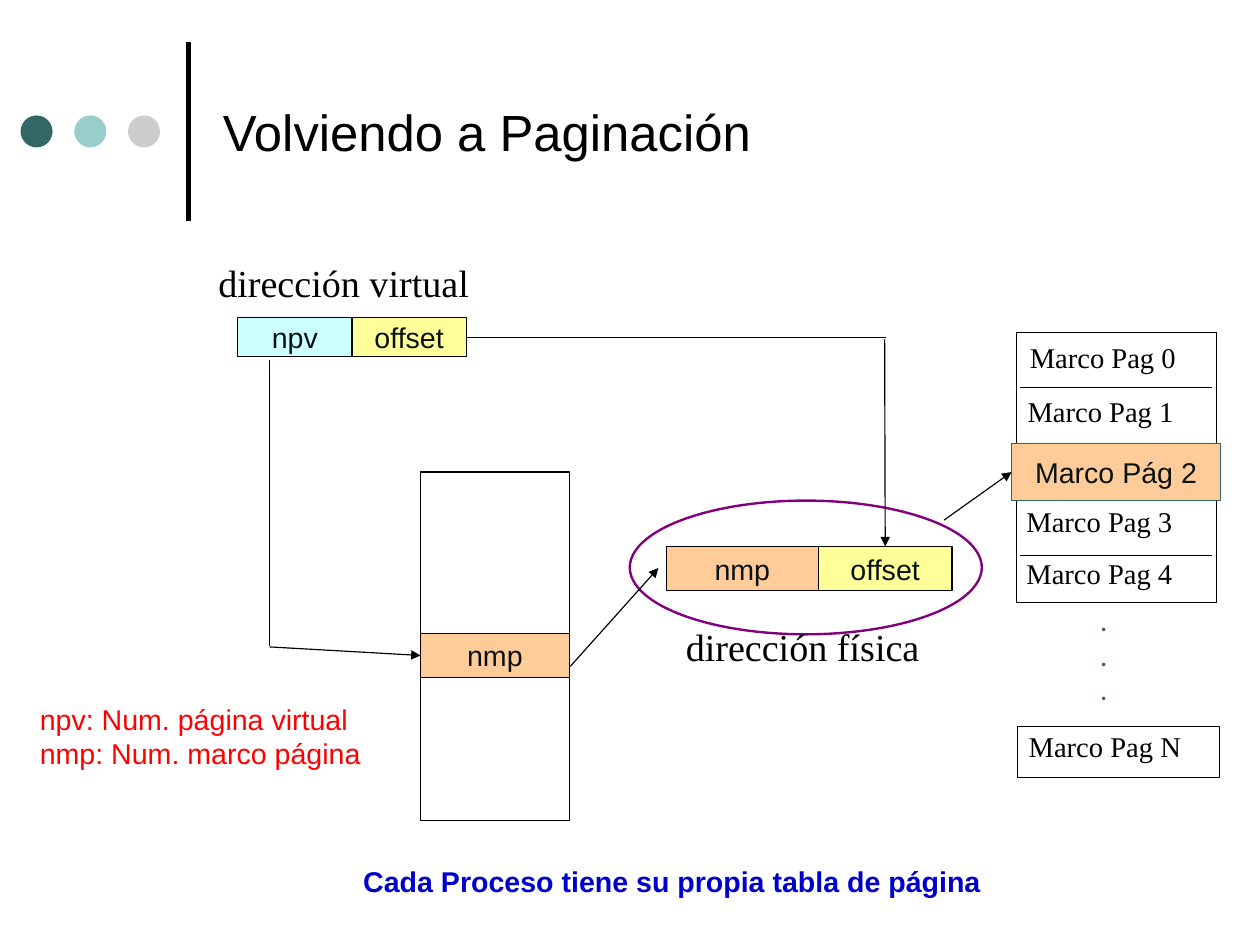
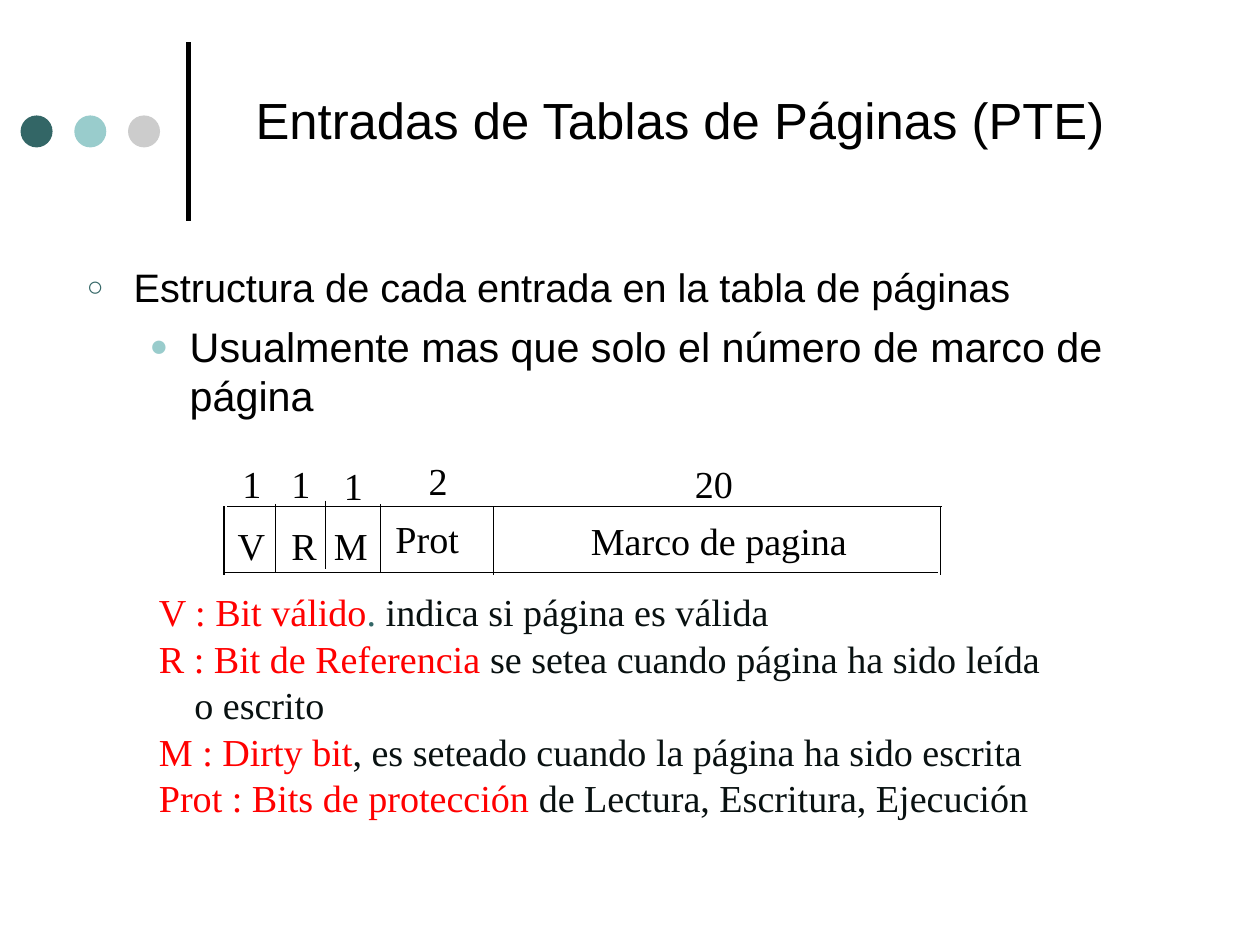
from dataclasses import dataclass
from typing import Optional

from lxml import etree
from pptx import Presentation
from pptx.dml import color as dml
from pptx.enum import shapes, text
from pptx.oxml import ns
from pptx.util import Inches, Pt


@dataclass(frozen=True)
class Theme:
    black: str = "000000"
    ink: str = "091111"
    teal: str = "336666"
    aqua: str = "99CCCC"
    grey: str = "CCCCCC"
    orange: str = "FFCC99"
    yellow: str = "FFFF99"
    cyan: str = "CCFFFF"
    red: str = "FF0000"
    blue: str = "0000CC"
    purple: str = "800080"
    sans: str = "Arial"
    serif: str = "Times New Roman"
    dots: str = "Lato"
    title: float = 32
    lead: float = 25
    detail: float = 26
    large: float = 24
    body: float = 18
    hairline: float = 0.75
    outline: float = 1.5
    rule: float = 3


THEME = Theme()


@dataclass(frozen=True)
class Box:
    left: float
    top: float
    width: float
    height: float

    def lengths(self) -> tuple:
        return tuple(Inches(v) for v in (self.left, self.top, self.width, self.height))


@dataclass(frozen=True)
class Style:
    size: float = THEME.body
    font: str = THEME.sans
    color: str = THEME.black
    bold: bool = False
    align: text.PP_ALIGN = text.PP_ALIGN.LEFT


@dataclass(frozen=True)
class Cell:
    label: str
    box: Box
    fill: Optional[str] = None
    line: str = THEME.black


@dataclass(frozen=True)
class Label:
    content: str
    left: float
    top: float
    width: float


@dataclass(frozen=True)
class Bullet:
    label: str
    symbol: str
    color: str
    percent: int
    margin: float
    hanging: float
    before: float
    size: float


CENTERED = Style(color=THEME.ink, align=text.PP_ALIGN.CENTER)
SERIF = Style(font=THEME.serif)
SERIF_LARGE = Style(THEME.large, THEME.serif)


def rgb(value: str) -> dml.RGBColor:
    return dml.RGBColor.from_string(value)


def format_paragraph(paragraph, style: Style) -> None:
    paragraph.alignment = style.align
    font = paragraph.font
    font.size, font.name, font.bold = Pt(style.size), style.font, style.bold
    font.color.rgb = rgb(style.color)


def set_frame(frame, inset: tuple, anchor=text.MSO_ANCHOR.TOP, wrap: bool = True) -> None:
    frame.word_wrap = wrap
    frame.vertical_anchor = anchor
    frame.margin_left = frame.margin_right = Inches(inset[0])
    frame.margin_top = frame.margin_bottom = Inches(inset[1])


def add_text(slide, box: Box, lines: list, style: Style, inset: tuple = (0, 0),
             anchor=text.MSO_ANCHOR.TOP):
    frame = slide.shapes.add_textbox(*box.lengths()).text_frame
    set_frame(frame, inset, anchor)
    frame.text = "\n".join(lines)
    for paragraph in frame.paragraphs:
        format_paragraph(paragraph, style)
    return frame


def add_labels(slide, labels: tuple, style: Style, height: float) -> None:
    for label in labels:
        box = Box(label.left, label.top, label.width, height)
        add_text(slide, box, [label.content], style)


def add_figure(slide, kind, box: Box, fill: Optional[str] = None,
               line: Optional[str] = None, width: float = THEME.hairline):
    shape = slide.shapes.add_shape(kind, *box.lengths())
    shape.shadow.inherit = False
    if fill:
        shape.fill.solid()
        shape.fill.fore_color.rgb = rgb(fill)
    else:
        shape.fill.background()
    if line:
        shape.line.color.rgb = rgb(line)
        shape.line.width = Pt(width)
    else:
        shape.line.fill.background()
    return shape


def add_cell(slide, cell: Cell):
    shape = add_figure(slide, shapes.MSO_SHAPE.RECTANGLE, cell.box, cell.fill, cell.line)
    if cell.label:
        set_frame(shape.text_frame, (0.1, 0.05), text.MSO_ANCHOR.MIDDLE, False)
        shape.text_frame.text = cell.label
        format_paragraph(shape.text_frame.paragraphs[0], CENTERED)
    return shape


def add_line(slide, start: tuple, end: tuple, arrow: bool = False,
             width: float = THEME.hairline):
    points = [Inches(value) for value in (*start, *end)]
    connector = slide.shapes.add_connector(shapes.MSO_CONNECTOR.STRAIGHT, *points)
    connector.line.color.rgb = rgb(THEME.black)
    connector.line.width = Pt(width)
    if arrow:
        line = connector._element.spPr.find(ns.qn("a:ln"))
        etree.SubElement(line, ns.qn("a:tailEnd"), type="triangle")
    etree.SubElement(connector._element.spPr, ns.qn("a:effectLst"))
    return connector


def add_bullet(paragraph, bullet: Bullet) -> None:
    format_paragraph(paragraph, Style(bullet.size))
    paragraph.space_before = Pt(bullet.before)
    properties = paragraph._p.get_or_add_pPr()
    properties.set("marL", str(Inches(bullet.margin)))
    properties.set("indent", str(-Inches(bullet.hanging)))
    color = etree.Element(ns.qn("a:buClr"))
    etree.SubElement(color, ns.qn("a:srgbClr"), val=bullet.color)
    size = etree.Element(ns.qn("a:buSzPct"), val=str(bullet.percent * 1000))
    font = etree.Element(ns.qn("a:buFont"), typeface=THEME.sans)
    symbol = etree.Element(ns.qn("a:buChar"), char=bullet.symbol)
    defaults = properties.find(ns.qn("a:defRPr"))
    for element in (color, size, font, symbol):
        defaults.addprevious(element)


def start_slide(presentation, title: str, box: Box, align, inset: tuple = (0, 0)):
    slide = presentation.slides.add_slide(presentation.slide_layouts[6])
    add_line(slide, (1.65, 1.93), (1.65, 0.37), width=THEME.rule)
    for index, color in enumerate((THEME.teal, THEME.aqua, THEME.grey)):
        dot = Box(0.18 + 0.47 * index, 1.01, 0.28, 0.28)
        add_figure(slide, shapes.MSO_SHAPE.OVAL, dot, color)
    add_text(slide, box, [title], Style(THEME.title, align=align), inset,
             text.MSO_ANCHOR.MIDDLE)
    return slide


def build_paging(presentation) -> None:
    slide = start_slide(presentation, "Volviendo a Paginación", Box(1.84, 0.23, 8.45, 1.84),
                        text.PP_ALIGN.LEFT, (0.11, 0.06))
    for frame in (Box(3.68, 4.13, 1.3, 3.05), Box(8.89, 2.91, 1.75, 2.36),
                  Box(8.9, 6.36, 1.77, 0.44)):
        add_cell(slide, Cell("", frame))
    for left, top in ((8.92, 3.39), (8.94, 3.88), (8.94, 4.38), (8.92, 4.86)):
        add_line(slide, (left, top), (left + 1.68, top))

    add_cell(slide, Cell("npv", Box(2.08, 2.78, 1, 0.34), THEME.cyan))
    virtual_offset, physical_page, physical_offset, table_entry, page_frame = [
        add_cell(slide, cell) for cell in (
            Cell("offset", Box(3.08, 2.78, 1, 0.34), THEME.yellow),
            Cell("nmp", Box(5.83, 4.78, 1.33, 0.39), THEME.orange),
            Cell("offset", Box(7.16, 4.78, 1.17, 0.39), THEME.yellow),
            Cell("nmp", Box(3.68, 5.54, 1.3, 0.39), THEME.orange),
            Cell("Marco Pág 2", Box(8.85, 3.88, 1.83, 0.5), THEME.orange, THEME.teal),
        )
    ]
    add_figure(slide, shapes.MSO_SHAPE.OVAL, Box(5.51, 4.38, 3.08, 1.17),
               line=THEME.purple, width=THEME.outline)

    add_line(slide, (2.36, 3.15), (2.36, 5.65))
    add_line(slide, (4.08, 2.95), (7.75, 2.95)).begin_connect(virtual_offset, 3)
    add_line(slide, (4.99, 5.83), (5.76, 4.97), arrow=True)
    for start, end, target, side in (
        ((2.36, 5.66), (3.68, 5.73), table_entry, 1),
        ((7.74, 2.97), (7.74, 4.78), physical_offset, 0),
        ((8.26, 4.55), (8.85, 4.13), page_frame, 1),
    ):
        add_line(slide, start, end, arrow=True).end_connect(target, side)

    add_labels(slide, (Label("dirección virtual", 1.91, 2.27, 2.25),
                       Label("dirección física", 6, 5.45, 2.1)), SERIF_LARGE, 0.4)
    add_labels(slide, tuple(
        Label(f"Marco Pag {number}", left, top, 1.55) for number, left, top in (
            ("0", 9.01, 2.97), ("1", 8.99, 3.45), ("3", 8.98, 4.41),
            ("4", 8.98, 4.86), ("N", 9, 6.38))
    ), SERIF, 0.3)
    add_text(slide, Box(9.53, 5.23, 0.27, 1), ["."] * 3,
             Style(font=THEME.dots, color=THEME.teal), (0.1, 0.05))
    add_text(slide, Box(0.25, 6.09, 3.1, 0.7),
             ["npv: Num. página virtual", "nmp: Num. marco página"],
             Style(color=THEME.red), (0.1, 0.05))
    add_text(slide, Box(3.08, 7.51, 5.7, 0.4), ["Cada Proceso tiene su propia tabla de página"],
             Style(color=THEME.blue, bold=True), (0.1, 0.05))


def build_entries(presentation) -> None:
    slide = start_slide(presentation, "Entradas de Tablas de Páginas (PTE)",
                        Box(2.02, 0.31, 7.87, 1.47), text.PP_ALIGN.CENTER)
    bullets = (
        Bullet("Estructura de cada entrada en la tabla de páginas", "○", THEME.teal, 70,
               0.41, 0.41, 6.2, THEME.lead),
        Bullet("Usualmente mas que solo el número de marco de página", "●", THEME.aqua, 75,
               0.9, 0.35, 6.5, THEME.detail),
    )
    frame = add_text(slide, Box(0.76, 2.3, 9.41, 4.87), [b.label for b in bullets], Style())
    for paragraph, bullet in zip(frame.paragraphs, bullets):
        add_bullet(paragraph, bullet)
    frame.paragraphs[1].level = 1

    for left, top in ((1.99, 4.43), (1.96, 5.01)):
        add_line(slide, (left, top), (left + 6.25, top))
    for edge, top in ((8.23, 4.43), (1.96, 4.43), (2.41, 4.41), (2.85, 4.38),
                      (3.33, 4.41), (4.32, 4.43)):
        add_line(slide, (edge, top), (edge, top + 0.6))
    add_labels(slide, (
        Label("1", 2.12, 4.03, 0.2), Label("1", 2.55, 4.03, 0.2),
        Label("1", 3.01, 4.05, 0.2), Label("2", 3.75, 4, 0.2),
        Label("20", 6.08, 4.03, 0.4), Label("V", 2.08, 4.57, 0.3),
        Label("R", 2.55, 4.57, 0.3), Label("M", 2.92, 4.57, 0.35),
        Label("Prot", 3.46, 4.51, 0.6), Label("Marco de pagina", 5.17, 4.53, 2.3),
    ), SERIF_LARGE, 0.4)

    meanings = (
        (("V : Bit válido", THEME.red), (". ", THEME.teal),
         ("indica si página es válida", THEME.ink)),
        (("R : Bit de Referencia ", THEME.red),
         ("se setea cuando página ha sido leída o escrito", THEME.ink)),
        (("M : Dirty bit", THEME.red),
         (", es seteado cuando la página ha sido escrita", THEME.ink)),
        (("Prot : Bits de protección ", THEME.red),
         ("de Lectura, Escritura, Ejecución", THEME.ink)),
    )
    frame = add_text(slide, Box(0.76, 5.14, 8.48, 2.04), [""] * len(meanings), SERIF_LARGE)
    for paragraph, runs in zip(frame.paragraphs, meanings):
        paragraph.level = 2
        paragraph.line_spacing = 1.02
        properties = paragraph._p.get_or_add_pPr()
        properties.set("marL", str(Inches(0.94)))
        properties.set("indent", str(-Inches(0.31)))
        for label, color in runs:
            run = paragraph.add_run()
            run.text = label
            run.font.color.rgb = rgb(color)


def main() -> None:
    presentation = Presentation()
    presentation.slide_width = Inches(28 / 2.54)
    presentation.slide_height = Inches(21 / 2.54)
    build_paging(presentation)
    build_entries(presentation)
    presentation.save("out.pptx")


if __name__ == "__main__":
    main()
